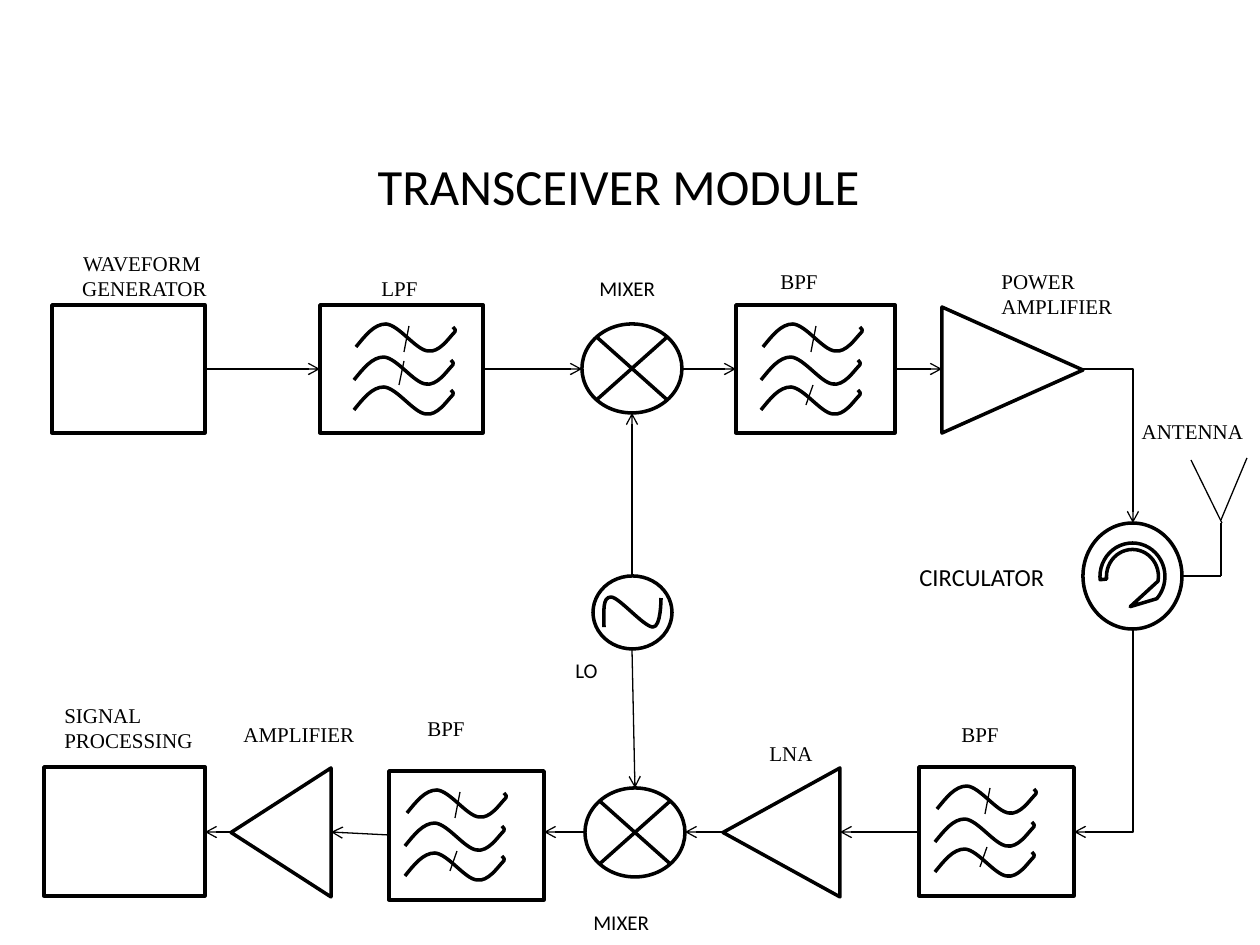
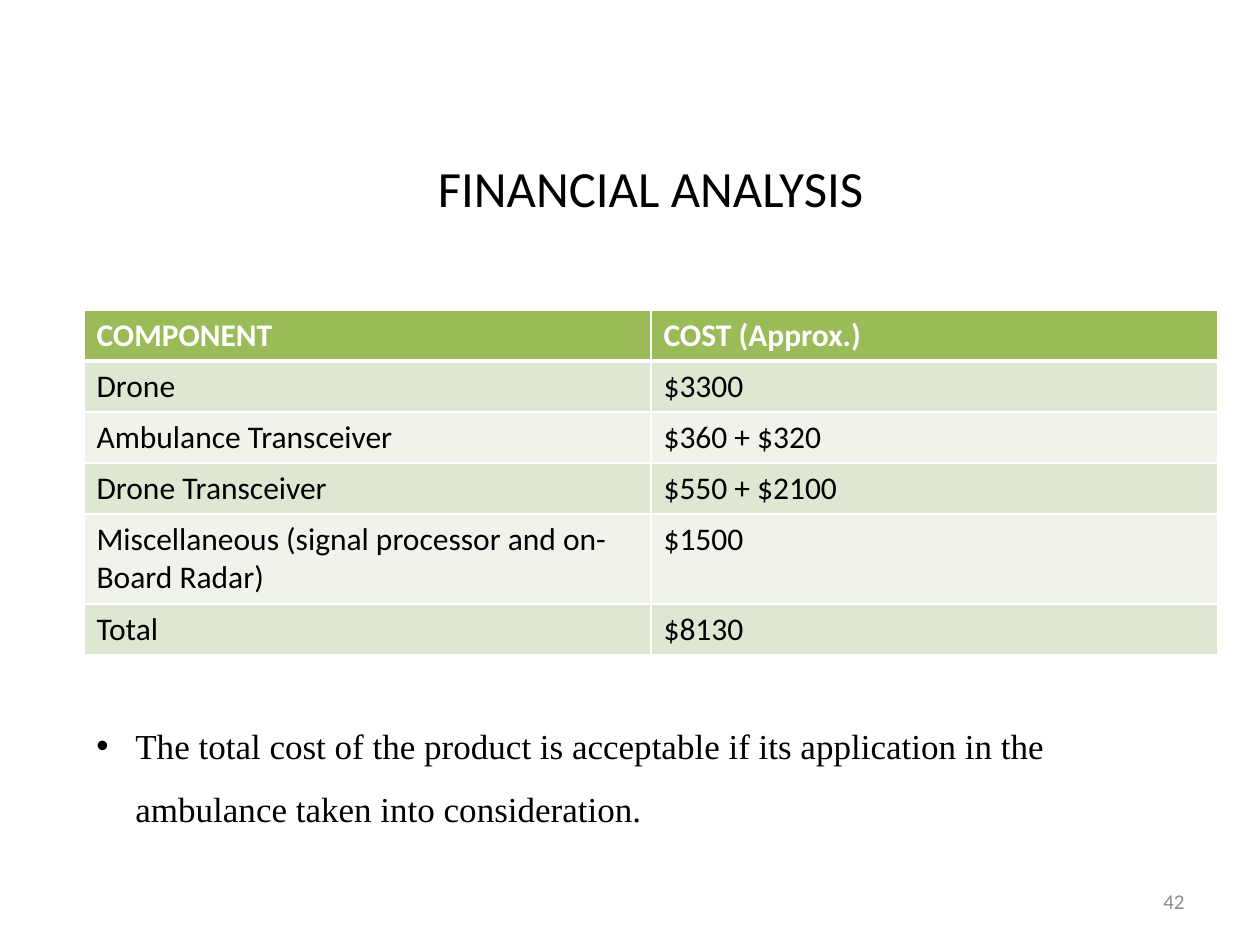
import pptx
import pptx.util
import pptx.dml.color
import pptx.enum.shapes
import pptx.enum.text
import pptx.oxml.ns
from lxml import etree
from dataclasses import dataclass

SHAPE = pptx.enum.shapes.MSO_SHAPE
LINK = pptx.enum.shapes.MSO_CONNECTOR
ALIGN = pptx.enum.text.PP_ALIGN
ANCHOR = pptx.enum.text.MSO_ANCHOR
SCALE = 914400 / 126


@dataclass(frozen=True)
class Theme:
    black: str = "000000"
    white: str = "FFFFFF"
    grey: str = "8C8C8C"
    green: str = "9BBB59"
    bands: tuple = ("DEE7D1", "EFF3EA")
    sans: str = "Calibri"
    serif: str = "Times New Roman"
    title: int = 29
    body: int = 20
    cell: int = 18
    label: int = 12
    large: int = 14
    thick: float = 2
    thin: float = 0.75


LOOK = Theme()
WAVE = [(0, 0), (9, -11), (18, -23), (30, -23), (43, -22), (60, 3), (72, 4),
        (83, 6), (93, -9), (97, -13), (101, -16), (99, -19), (97, -20)]
SINE = [(0, 0), (0, -15), (-2, -30), (7, -30), (15, -30), (40, 0), (49, 0),
        (57, 0), (57, -28), (57, -29)]
COSTS = [
    ("COMPONENT", "COST (Approx.)"),
    ("Drone", "$3300"),
    ("Ambulance Transceiver", "$360 + $320"),
    ("Drone Transceiver", "$550 + $2100"),
    ("Miscellaneous (signal processor and on-Board Radar)", "$1500"),
    ("Total", "$8130"),
]


def px(size):
    return pptx.util.Emu(round(size * SCALE))


def tint(code):
    return pptx.dml.color.RGBColor.from_string(code)


def name(tag):
    return pptx.oxml.ns.qn(tag)


def node(root, tag, **attrs):
    return etree.SubElement(root, name(tag), attrs)


def write(frame, text, size=LOOK.label, font=LOOK.serif, color=LOOK.black,
          bold=False, align=ALIGN.LEFT, space=None, bullet=None, indent=39):
    frame.word_wrap = True
    for i, words in enumerate(text.split("\n")):
        para = frame.add_paragraph() if i else frame.paragraphs[0]
        para.alignment = align
        if space:
            para.line_spacing = space
        if bullet:
            props = para._p.get_or_add_pPr()
            props.set("marL", str(px(indent)))
            props.set("indent", str(-px(indent)))
            node(props, "a:buFont", typeface="Arial")
            node(props, "a:buChar", char=bullet)
        run = para.add_run()
        run.text = words
        run.font.size = pptx.util.Pt(size)
        run.font.name = font
        run.font.bold = bold
        run.font.color.rgb = tint(color)


def label(slide, box, text, anchor=ANCHOR.TOP, **style):
    frame = slide.shapes.add_textbox(*map(px, box)).text_frame
    frame.vertical_anchor = anchor
    write(frame, text, **style)


def title(slide, left, top, text):
    label(slide, (left, top, 908, 176), text, anchor=ANCHOR.MIDDLE,
          size=LOOK.title, font=LOOK.sans, align=ALIGN.CENTER)


def ink(shape, width=LOOK.thick, fill=None):
    shape.shadow.inherit = False
    shape.line.color.rgb = tint(LOOK.black)
    shape.line.width = pptx.util.Pt(width)
    if fill:
        shape.fill.solid()
        shape.fill.fore_color.rgb = tint(fill)
    else:
        shape.fill.background()


def block(slide, kind, box, fill=None):
    shape = slide.shapes.add_shape(kind, *map(px, box))
    ink(shape, fill=fill)
    return shape


def horn(slide, box, turn):
    left, top, wide, high = box
    shift = (wide - high) / 2
    shape = block(slide, SHAPE.FLOWCHART_MERGE,
                  (left + shift, top - shift, high, wide))
    shape.rotation = turn


def curve(slide, left, top, points):
    pen = slide.shapes.build_freeform(px(left), px(top), scale=1)
    pen.add_line_segments([(px(left + x), px(top + y)) for x, y in points[1:]],
                          close=False)
    shape = pen.convert_to_shape()
    lines = list(shape.element.iter(name("a:lnTo")))
    for i in range(0, len(lines), 3):
        bend = etree.Element(name("a:cubicBezTo"))
        lines[i].addprevious(bend)
        for line in lines[i:i + 3]:
            bend.append(line[0])
            line.getparent().remove(line)
    ink(shape)


def wire(slide, start, end, tip=None, bent=False):
    kind = LINK.ELBOW if bent else LINK.STRAIGHT
    link = slide.shapes.add_connector(kind, *map(px, start + end))
    link.line.color.rgb = tint(LOOK.black)
    link.line.width = pptx.util.Pt(LOOK.thin)
    props = link.element.spPr
    if bent:
        props.find(name("a:prstGeom")).set("prst", "bentConnector2")
    if tip:
        node(props.find(name("a:ln")), tip, type="arrow")
    node(props, "a:effectLst")


def sieve(slide, box, inset, low=((50, 38), (43, 58))):
    block(slide, SHAPE.RECTANGLE, box)
    left, top = box[0] + inset, box[1] + 42
    for dx, dy in ((0, 0), (-2, 33), (-2, 63)):
        curve(slide, left + dx, top + dy, WAVE)
    for start, end in (((53, -21), (48, 5)), low):
        wire(slide, (left + start[0], top + start[1]),
             (left + end[0], top + end[1]))


def grid(slide, left, top, wide, high, rows, tall):
    table = slide.shapes.add_table(len(rows), 2, px(left), px(top),
                                   px(2 * wide), px(high * len(rows))).table
    for col in table.columns:
        col.width = px(wide)
    for i, row in enumerate(rows):
        table.rows[i].height = px(tall.get(i, high))
        head = i == 0
        for j, text in enumerate(row):
            cell = table.cell(i, j)
            props = cell._tc.get_or_add_tcPr()
            for side in "LRTB":
                thick = (head and side == "B") or (i == 1 and side == "T")
                edge = node(props, "a:ln" + side, w=str(pptx.util.Pt(3 if thick else 1)))
                node(node(edge, "a:solidFill"), "a:srgbClr", val=LOOK.white)
            cell.fill.solid()
            cell.fill.fore_color.rgb = tint(LOOK.green if head else LOOK.bands[(i - 1) % 2])
            write(cell.text_frame, text, size=LOOK.cell, font=LOOK.sans, bold=head,
                  color=LOOK.white if head else LOOK.black)


def draw_parts(slide):
    for box in ((52, 305, 153, 128), (44, 767, 161, 129)):
        block(slide, SHAPE.RECTANGLE, box)
    sieve(slide, (320, 305, 163, 128), 36, low=((48, 14), (43, 38)))
    sieve(slide, (736, 305, 159, 128), 27)
    sieve(slide, (919, 767, 155, 129), 18)
    sieve(slide, (389, 771, 155, 129), 18)
    for left, top in ((582, 324), (585, 788)):
        block(slide, SHAPE.FLOWCHART_SUMMING_JUNCTION, (left, top, 100, 89))
    horn(slide, (942, 307, 141, 126), 270)
    horn(slide, (231, 768, 100, 129), 90)
    horn(slide, (723, 768, 117, 129), 90)
    block(slide, SHAPE.FLOWCHART_CONNECTOR, (1083, 523, 99, 106))
    swirl = block(slide, SHAPE.CIRCULAR_ARROW, (1100, 543, 65, 67), fill=LOOK.white)
    for i, value in enumerate((0.1, 36.72, 19.8, 104.6, 0.05)):
        swirl.adjustments[i] = value
    block(slide, SHAPE.FLOWCHART_CONNECTOR, (593, 576, 79, 73))
    curve(slide, 604, 627, SINE)


def draw_wires(slide):
    for start, end in ((205, 320), (483, 582), (682, 736), (895, 942)):
        wire(slide, (start, 369), (end, 369), "a:tailEnd")
    for start, end in ((919, 840), (723, 685), (585, 544), (231, 205)):
        wire(slide, (start, 832), (end, 832), "a:tailEnd")
    wire(slide, (389, 835), (331, 832), "a:tailEnd")
    wire(slide, (632, 576), (632, 413), "a:tailEnd")
    wire(slide, (632, 649), (635, 788), "a:tailEnd")
    wire(slide, (1083, 369), (1133, 523), "a:tailEnd", bent=True)
    wire(slide, (1074, 832), (1133, 629), "a:headEnd", bent=True)
    for start, end in (((1182, 576), (1221, 576)), ((1221, 576), (1221, 523)),
                       ((1191, 460), (1222, 523)), ((1247, 458), (1221, 520))):
        wire(slide, start, end)


def draw_names(slide):
    for box, text in (
        ((231, 715, 169, 38), "AMPLIFIER"),
        ((369, 269, 100, 38), "LPF"),
        ((768, 262, 100, 38), "BPF"),
        ((949, 715, 100, 38), "BPF"),
        ((415, 709, 100, 38), "BPF"),
        ((757, 734, 83, 63), "LNA"),
        ((52, 696, 154, 89), "SIGNAL PROCESSING"),
        ((989, 262, 144, 89), "POWER AMPLIFIER"),
    ):
        label(slide, box, text)
    label(slide, (1111, 412, 163, 38), "ANTENNA", align=ALIGN.CENTER)
    label(slide, (34, 244, 221, 93), "WAVEFORM \nGENERATOR", align=ALIGN.CENTER)
    label(slide, (542, 651, 89, 38), "LO", font=LOOK.sans, align=ALIGN.CENTER)
    for left, top in ((587, 269), (581, 903)):
        label(slide, (left, top, 100, 38), "MIXER", font=LOOK.sans)
    label(slide, (907, 556, 210, 43), "CIRCULATOR", font=LOOK.sans, size=LOOK.large)


def main():
    deck = pptx.Presentation()
    deck.slide_width, deck.slide_height = px(1260), px(945)
    blank = deck.slide_layouts[6]

    slide = deck.slides.add_slide(blank)
    draw_parts(slide)
    draw_wires(slide)
    draw_names(slide)
    title(slide, 165, 97, "TRANSCEIVER MODULE")

    slide = deck.slides.add_slide(blank)
    title(slide, 197, 99, "FINANCIAL ANALYSIS")
    grid(slide, 84, 310, 567, 51, COSTS, tall={4: 90})
    label(slide, (84, 697, 1130, 178),
          "The total cost of the product is acceptable if its application in the "
          "ambulance taken into consideration.",
          size=LOOK.body, space=1.5, bullet="•")
    label(slide, (903, 876, 294, 50), "42", anchor=ANCHOR.MIDDLE,
          font=LOOK.sans, color=LOOK.grey, align=ALIGN.RIGHT)
    deck.save("out.pptx")


if __name__ == "__main__":
    main()
